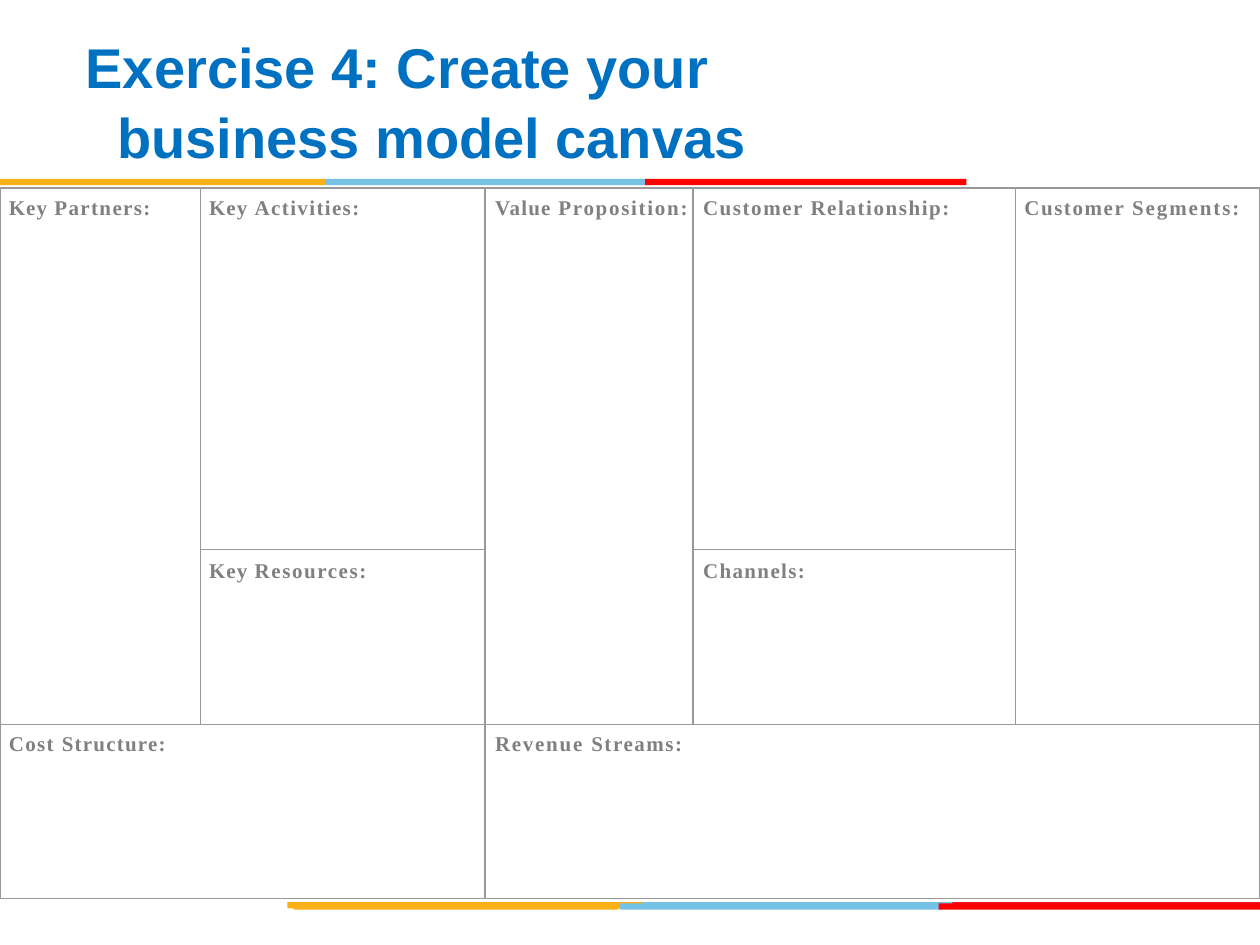
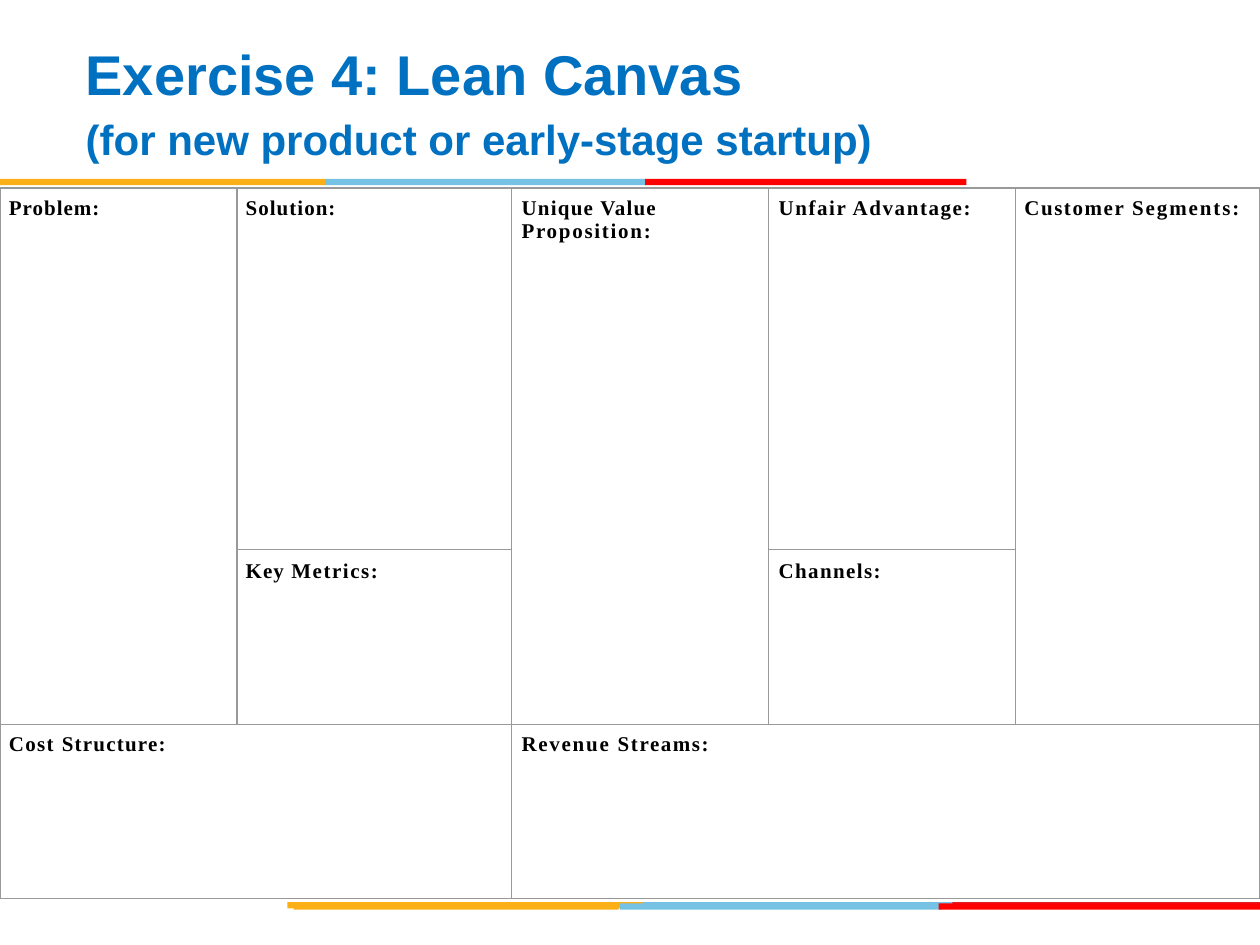
from pptx import Presentation
from pptx.dml.color import RGBColor
from pptx.enum.shapes import MSO_SHAPE
from pptx.enum.text import MSO_ANCHOR, MSO_AUTO_SIZE, PP_ALIGN
from pptx.oxml import parse_xml
from pptx.oxml.ns import nsdecls
from pptx.util import Inches, Pt

RECTANGLE = MSO_SHAPE.RECTANGLE
MIDDLE = MSO_ANCHOR.MIDDLE
NO_AUTOFIT = MSO_AUTO_SIZE.NONE
LEFT = PP_ALIGN.LEFT

COLORS = {
    "title": "0070C0",
    "gold": "FCB017",
    "sky": "76C2E5",
    "red": "FF0000",
    "crimson": "E31C24",
    "grid": "999999",
    "gray": "808080",
    "black": "000000",
    "white": "FFFFFF",
}

BAND_HEIGHT = 0.05
BANDS = [
    (5.06, 7.16, 2.55, "sky"),
    (7.56, 7.16, 2.44, "crimson"),
    (2.28, 7.16, 2.82, "gold"),
    (4.92, 7.17, 2.55, "sky"),
    (2.33, 7.17, 2.58, "gold"),
    (7.45, 7.17, 2.55, "red"),
    (2.58, 1.42, 2.55, "sky"),
    (0, 1.42, 2.58, "gold"),
    (5.12, 1.42, 2.55, "red"),
]

CANVAS_TOP = 1.49
ROW_HEIGHTS = [2.87, 1.39, 1.38]
ROW_INSETS = [0.07, 0.08, 0.07]
ROW_SPACE_BEFORE = [5.4, 5.9, 5.2]
COLUMN_INDENTS = [0.07, 0.07, 0.08, 0.08, 0.07]

BLOCKS = [
    ((0, 0), (1, 0)),
    ((0, 1), (0, 1)),
    ((0, 2), (1, 2)),
    ((0, 3), (0, 3)),
    ((0, 4), (1, 4)),
    ((1, 1), (1, 1)),
    ((1, 3), (1, 3)),
    ((2, 0), (2, 1)),
    ((2, 2), (2, 4)),
]

SEGMENTS = [("Customer ", 0.9), ("Segments:", 1.1)]
CHANNELS = [("Channels:", 0.8)]
COST = [("Cost ", 0.8), ("Structure:", 0.7)]
REVENUE = [("Revenue ", 1), ("Streams:", 0.9)]

BUSINESS_MODEL_LABELS = [
    [("Key ", 0.6), ("Partners:", 0.8)],
    [("Key ", 0.6), ("Activities:", 0.8)],
    [("Value ", 0.7), ("Proposition:", 1)],
    [("Customer Relationship:", 0.9)],
    SEGMENTS,
    [("Key ", 0.6), ("Resources:", 0.9)],
    CHANNELS,
    COST,
    REVENUE,
]
LEAN_LABELS = [
    [("Problem:", 0.6)],
    [("Solution:", 0.6)],
    [("Unique Value ", 0.7), ("Proposition:", 1)],
    [("Unfair Advantage:", 0.9)],
    SEGMENTS,
    [("Key ", 0.6), ("Metrics:", 0.9)],
    CHANNELS,
    COST,
    REVENUE,
]


def rgb(name):
    return RGBColor.from_string(COLORS[name])


def set_font(paragraph, face, size, color):
    font = paragraph.font
    font.name = face
    font.size = Pt(size)
    font.bold = True
    font.color.rgb = rgb(color)


def set_indent(paragraph, margin, first_line=0):
    properties = paragraph._p.get_or_add_pPr()
    properties.set("marL", str(Inches(margin)))
    properties.set("indent", str(Inches(first_line)))


def add_bands(layout, slide):
    for left, top, width, color in BANDS:
        band = slide.shapes.add_shape(
            RECTANGLE, Inches(left), Inches(top), Inches(width), Inches(BAND_HEIGHT))
        band.shadow.inherit = False
        band.fill.solid()
        band.fill.fore_color.rgb = rgb(color)
        band.line.fill.background()
        layout.shapes.element.append(band.element)


def set_title(slide, width, lines):
    title = slide.shapes.title
    title.left, title.top = Inches(0.33), Inches(0.17)
    title.width, title.height = Inches(width), Inches(1.25)
    frame = title.text_frame
    frame.auto_size = NO_AUTOFIT
    frame.word_wrap = True
    frame.vertical_anchor = MIDDLE
    frame.text = "\n".join(text for text, _ in lines)
    for index, (paragraph, (_, size)) in enumerate(zip(frame.paragraphs, lines)):
        paragraph.alignment = LEFT
        paragraph.line_spacing = 1.04
        paragraph.space_before = Pt(3 if index else 0)
        set_indent(paragraph, 0.5, -0.25)
        set_font(paragraph, "Arial", size, "title")


def style_cell(cell):
    properties = cell._tc.get_or_add_tcPr()
    for side in ("lnL", "lnR", "lnT", "lnB"):
        properties.append(parse_xml(
            f'<a:{side} {nsdecls("a")} w="{Pt(1)}"><a:solidFill>'
            f'<a:srgbClr val="{COLORS["grid"]}"/></a:solidFill></a:{side}>'))
    cell.fill.solid()
    cell.fill.fore_color.rgb = rgb("white")


def write_label(cell, row, column, label, color):
    cell.margin_left = cell.margin_right = cell.margin_bottom = 0
    cell.margin_top = Inches(ROW_INSETS[row])
    paragraph = cell.text_frame.paragraphs[0]
    paragraph.space_before = Pt(ROW_SPACE_BEFORE[row])
    set_indent(paragraph, COLUMN_INDENTS[column])
    set_font(paragraph, "Times New Roman", 12, color)
    for text, spacing in label:
        run = paragraph.add_run()
        run.text = text
        run.font._element.set("spc", str(round(spacing * 100)))


def add_canvas(slide, column_widths, labels, color):
    canvas = slide.shapes.add_table(
        len(ROW_HEIGHTS), len(column_widths), 0, Inches(CANVAS_TOP),
        Inches(sum(column_widths)), Inches(sum(ROW_HEIGHTS))).table
    canvas.first_row = canvas.horz_banding = False
    for column, width in zip(canvas.columns, column_widths):
        column.width = Inches(width)
    for row, height in zip(canvas.rows, ROW_HEIGHTS):
        row.height = Inches(height)
    for cell in canvas.iter_cells():
        style_cell(cell)
    for (first, last), label in zip(BLOCKS, labels):
        cell = canvas.cell(*first)
        if first != last:
            cell.merge(canvas.cell(*last))
        write_label(cell, *first, label, color)


def main():
    deck = Presentation()
    deck.slide_width, deck.slide_height = Inches(10), Inches(7.5)
    layout = deck.slide_layouts[5]

    business_model = deck.slides.add_slide(layout)
    add_bands(layout, business_model)
    set_title(business_model, 6.92,
              [("Exercise 4: Create your business model canvas", 32)])
    add_canvas(business_model, [1.59, 2.26, 1.65, 2.56, 1.94],
               BUSINESS_MODEL_LABELS, "gray")

    lean = deck.slides.add_slide(layout)
    set_title(lean, 7.81, [("Exercise 4: Lean Canvas", 32),
                           ("(for new product or early-stage startup)", 24)])
    add_canvas(lean, [1.88, 2.18, 2.04, 1.96, 1.94], LEAN_LABELS, "black")

    deck.save("out.pptx")


if __name__ == "__main__":
    main()
